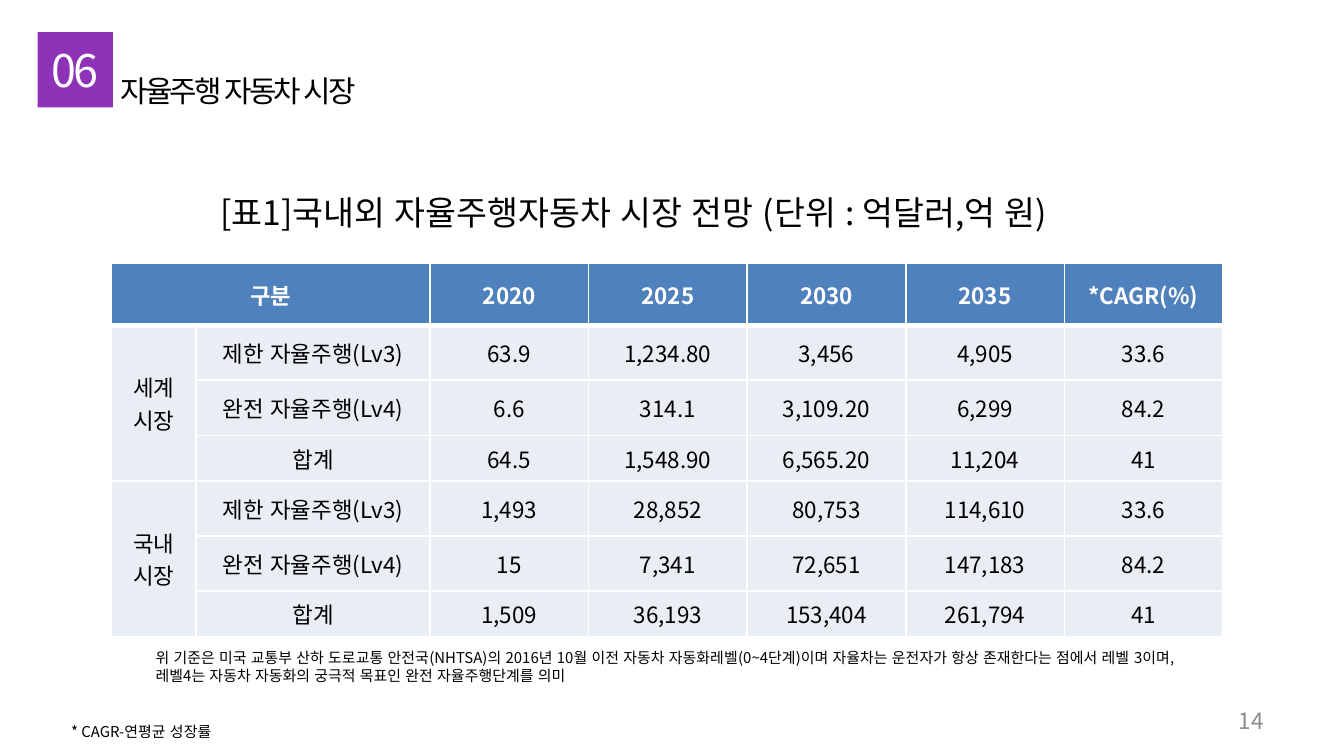
import pptx
import pptx.util
import pptx.dml.color
import pptx.enum.lang
import pptx.enum.shapes
import pptx.enum.text
import pptx.oxml
import pptx.oxml.ns

Inches = pptx.util.Inches
ALIGN = pptx.enum.text.PP_ALIGN
ANCHOR = pptx.enum.text.MSO_ANCHOR
FONT = "Noto Sans CJK KR"
WHITE, BLACK, GRAY = "FFFFFF", "000000", "8C8C8C"
PURPLE, HEADER, BODY = "8E33B7", "4F81BD", "E9EDF4"

COLUMNS = [0.63, 1.74] + [1.18] * 5
ROWS = [0.46] + [0.41, 0.41, 0.34] * 2
HEADINGS = ["구분", "", "2020", "2025", "2030", "2035", "*CAGR(%)"]
LEVELS = ["제한 자율주행(Lv3)", "완전 자율주행(Lv4)", "합계"]
MARKETS = {
    "세계\n시장": [
        ["63.9", "1,234.80", "3,456", "4,905", "33.6"],
        ["6.6", "314.1", "3,109.20", "6,299", "84.2"],
        ["64.5", "1,548.90", "6,565.20", "11,204", "41"],
    ],
    "국내\n시장": [
        ["1,493", "28,852", "80,753", "114,610", "33.6"],
        ["15", "7,341", "72,651", "147,183", "84.2"],
        ["1,509", "36,193", "153,404", "261,794", "41"],
    ],
}


def color(value):
    """Turn a hex string into a colour."""
    return pptx.dml.color.RGBColor.from_string(value)


def write(tf, text, size, fill=BLACK, align=ALIGN.LEFT, bold=False, spacing=None):
    """Fill a text frame with formatted paragraphs."""
    tf.text = text
    formats = {"size": pptx.util.Pt(size), "name": FONT, "bold": bold,
               "language_id": pptx.enum.lang.MSO_LANGUAGE_ID.KOREAN}
    for p in tf.paragraphs:
        p.alignment = align
        for r in p.runs:
            for name, value in formats.items():
                setattr(r.font, name, value)
            r.font.color.rgb = color(fill)
            props = r._r.get_or_add_rPr()
            if spacing is not None:
                props.set("spc", str(int(spacing * 100)))
            ea = pptx.oxml.parse_xml(
                f'<a:ea {pptx.oxml.ns.nsdecls("a")} typeface="{FONT}"/>')
            props.append(ea)


def add_text(s, box, text, size, anchor=ANCHOR.TOP, **formats):
    """Add a wrapped text box."""
    tf = s.shapes.add_textbox(*map(Inches, box)).text_frame
    tf.word_wrap = True
    tf.vertical_anchor = anchor
    write(tf, text, size, **formats)


def set_borders(cell, widths):
    """Draw white borders of the given point widths around a cell."""
    props = cell._tc.get_or_add_tcPr()
    for i, (side, width) in enumerate(widths.items()):
        props.insert(i, pptx.oxml.parse_xml(
            f'<a:ln{side} {pptx.oxml.ns.nsdecls("a")} w="{pptx.util.Pt(width)}">'
            f'<a:solidFill><a:srgbClr val="{WHITE}"/></a:solidFill></a:ln{side}>'))


def add_heading(s, left, top):
    """Place the numbered square and the section title."""
    sp = s.shapes.add_shape(pptx.enum.shapes.MSO_SHAPE.RECTANGLE,
                            *map(Inches, (left, top, 0.56, 0.56)))
    sp.shadow.inherit = False
    sp.fill.solid()
    sp.fill.fore_color.rgb = color(PURPLE)
    sp.line.fill.background()
    add_text(s, (left - 0.08, top + 0.03, 0.71, 0.5), "06", 24,
             fill=WHITE, align=ALIGN.CENTER, spacing=-1.5)
    add_text(s, (left + 0.52, top + 0.25, 2.79, 0.37), "자율주행 자동차 시장", 16,
             spacing=-1.5)


def add_market_table(s, left, top):
    """Place the market forecast table."""
    rows = [HEADINGS]
    for market, figures in MARKETS.items():
        for i, (level, values) in enumerate(zip(LEVELS, figures)):
            rows.append([market if i == 0 else "", level] + values)
    box = (left, top, sum(COLUMNS), sum(ROWS))
    table = s.shapes.add_table(len(ROWS), len(COLUMNS), *map(Inches, box)).table
    for column, width in zip(table.columns, COLUMNS):
        column.width = Inches(width)
    for row, height in zip(table.rows, ROWS):
        row.height = Inches(height)
    for i, texts in enumerate(rows):
        head = i == 0
        for j, text in enumerate(texts):
            cell = table.cell(i, j)
            cell.vertical_anchor = ANCHOR.MIDDLE
            cell.fill.solid()
            cell.fill.fore_color.rgb = color(HEADER if head else BODY)
            set_borders(cell, {"L": 1, "R": 1, "T": 3 if i == 1 else 1,
                               "B": 3 if head else 1})
            write(cell.text_frame, text, 12, fill=WHITE if head else BLACK,
                  align=ALIGN.CENTER, bold=head)
    table.cell(0, 0).merge(table.cell(0, 1))
    for first in (1, 4):
        table.cell(first, 0).merge(table.cell(first + 2, 0))


def add_market_section(s, left, top):
    """Place the table with its caption and the note below it."""
    add_text(s, (left + 0.71, top, 7.01, 0.4),
             "[표1]국내외 자율주행자동차 시장 전망 (단위 : 억달러,억 원)", 18)
    add_market_table(s, left, top + 0.58)
    add_text(s, (left + 0.23, top + 3.4, 7.8, 0.37),
             "위 기준은 미국 교통부 산하 도로교통 안전국(NHTSA)의 2016년 10월 이전 "
             "자동차 자동화레벨(0~4단계)이며 자율차는 운전자가 항상 존재한다는 점에서 "
             "레벨 3이며, 레벨4는 자동차 자동화의 궁극적 목표인 완전 자율주행단계를 의미", 8)


def add_footer(s, left, top):
    """Place the footnote and the page number."""
    add_text(s, (left, top + 0.12, 1.42, 0.24), "* CAGR-연평균 성장률", 8)
    add_text(s, (left + 8.68, top, 0.39, 0.3), "14", 12, anchor=ANCHOR.MIDDLE,
             fill=GRAY, align=ALIGN.RIGHT)


def main():
    """Build and save the slide."""
    prs = pptx.Presentation()
    prs.slide_width = Inches(10)
    prs.slide_height = prs.slide_width * 9 // 16
    s = prs.slides.add_slide(prs.slide_layouts[6])
    add_heading(s, 0.28, 0.24)
    add_market_section(s, 0.83, 1.38)
    add_footer(s, 0.43, 5.21)
    prs.save("out.pptx")


if __name__ == "__main__":
    main()
